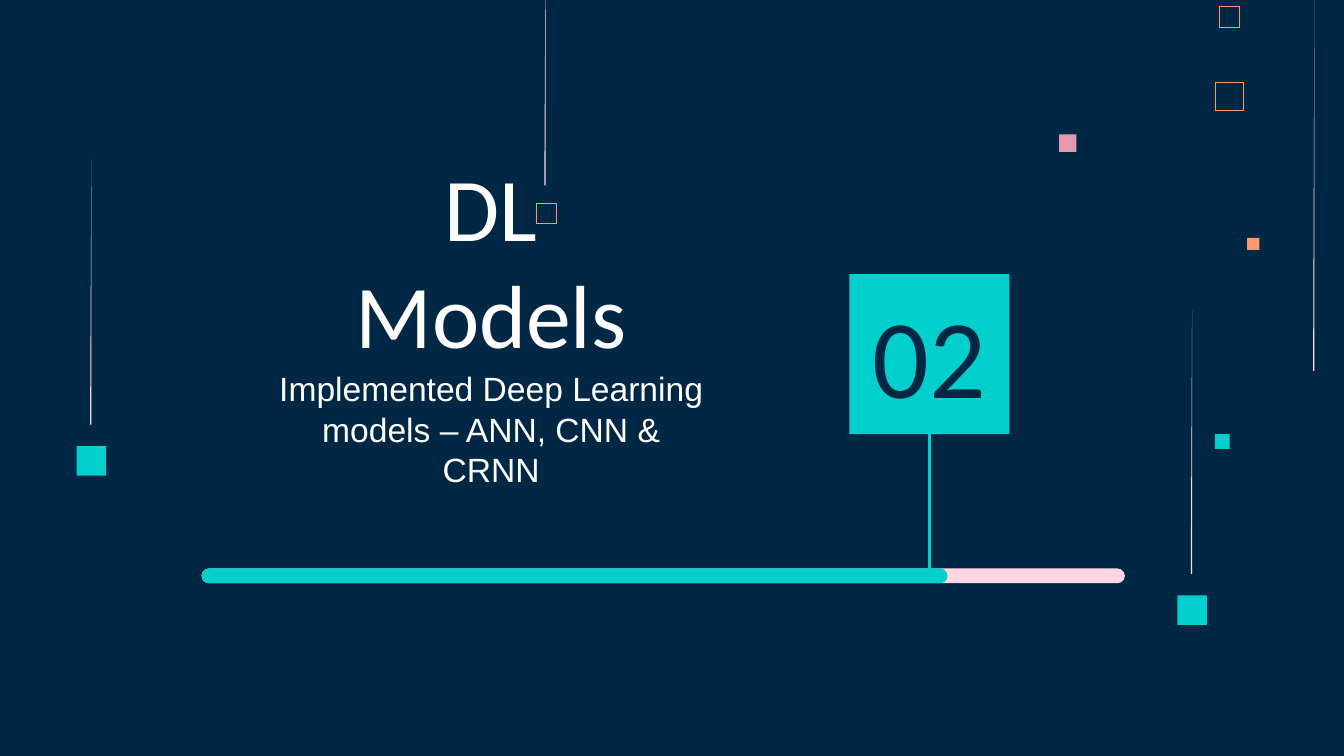
import pptx
import pptx.util
import pptx.dml.color
import pptx.enum.shapes
import pptx.enum.text
import pptx.oxml.ns
import lxml.etree

Inches = pptx.util.Inches
RGBColor = pptx.dml.color.RGBColor
Shape = pptx.enum.shapes.MSO_SHAPE
Anchor = pptx.enum.text.MSO_ANCHOR

NAVY = RGBColor(0x00, 0x28, 0x45)
TEAL = RGBColor(0x00, 0xCF, 0xCC)
BLUSH = RGBColor(0xFF, 0xD6, 0xE1)
ROSE = RGBColor(0xE8, 0x98, 0xAC)
ORANGE = RGBColor(0xFF, 0x99, 0x73)
WHITE = RGBColor(0xFF, 0xFF, 0xFF)

deck = pptx.Presentation()
deck.slide_width = Inches(10)
deck.slide_height = Inches(10) * 9 // 16
page = deck.slides.add_slide(deck.slide_layouts[6])
page.background.fill.solid()
page.background.fill.fore_color.rgb = NAVY


def add_filled(kind, left, top, width, height, color):
    shape = page.shapes.add_shape(
        kind, Inches(left), Inches(top), Inches(width), Inches(height))
    shape.shadow.inherit = False
    shape.fill.solid()
    shape.fill.fore_color.rgb = color
    shape.line.fill.background()
    return shape


def add_label(text, left, top, width, height, anchor, font, size, color):
    box = page.shapes.add_textbox(
        Inches(left), Inches(top), Inches(width), Inches(height))
    frame = box.text_frame
    frame.word_wrap = True
    frame.vertical_anchor = anchor
    frame.margin_left = frame.margin_right = Inches(0.1)
    frame.margin_top = frame.margin_bottom = Inches(0.1)
    frame.text = text
    para = frame.paragraphs[0]
    para.alignment = pptx.enum.text.PP_ALIGN.CENTER
    span = para.runs[0]
    span.font.name = font
    span.font.size = pptx.util.Pt(size)
    span.font.color.rgb = color


for left, top, side, color in [
    (7.88, 1, 0.13, ROSE),
    (9.04, 3.23, 0.11, TEAL),
    (9.28, 1.77, 0.09, ORANGE),
    (8.76, 4.43, 0.22, TEAL),
    (0.57, 3.32, 0.22, TEAL),
]:
    add_filled(Shape.RECTANGLE, left, top, side, side, color)

for left, top, side, weight in [
    (9.04, 0.61, 0.21, 0.45),
    (9.07, 0.05, 0.15, 0.32),
    (3.99, 1.51, 0.15, 0.32),
]:
    outline = add_filled(Shape.RECTANGLE, left, top, side, side, NAVY)
    outline.fill.background()
    outline.line.color.rgb = ORANGE
    outline.line.width = pptx.util.Pt(weight)

for left, top, bottom in [
    (4.05, -0.48, 1.38),
    (9.77, 0, 2.76),
    (8.86, 2.31, 4.27),
    (0.67, 1.19, 3.16),
]:
    right = Inches(left + 0.01)
    builder = page.shapes.build_freeform(right, Inches(top))
    builder.add_line_segments(
        [(Inches(left), Inches(bottom)), (right, Inches(bottom))], close=True)
    streak = builder.convert_to_shape()
    streak.shadow.inherit = False
    streak.fill.solid()
    streak.fill.fore_color.rgb = BLUSH
    streak.line.fill.background()

add_label("DL Models", 2.22, 1.91, 2.87, 0.92,
          Anchor.BOTTOM, "Calibri", 48, WHITE)
add_label("Implemented Deep Learning models – ANN, CNN & CRNN",
          1.96, 2.64, 3.39, 1.15, Anchor.TOP, "Arial", 18, WHITE)
number_tile = add_filled(Shape.RECTANGLE, 6.32, 2.04, 1.19, 1.19, TEAL)
add_label("02", 6.38, 2.32, 1.07, 0.63, Anchor.MIDDLE, "Calibri", 60, NAVY)

for width, color in [(6.87, BLUSH), (5.55, TEAL)]:
    bar = add_filled(Shape.ROUNDED_RECTANGLE, 1.5, 4.23, width, 0.11, color)
    bar.adjustments[0] = 0.5

stem = page.shapes.add_connector(
    pptx.enum.shapes.MSO_CONNECTOR.STRAIGHT,
    Inches(6.92), Inches(3.23), Inches(6.92), Inches(4.3))
stem.begin_connect(number_tile, 2)
stem.end_x = stem.begin_x
stem.line.color.rgb = TEAL
stem.line.width = pptx.util.Pt(1.5)
lxml.etree.SubElement(
    stem.element.spPr, pptx.oxml.ns.qn("a:effectLst"))

deck.save("out.pptx")
